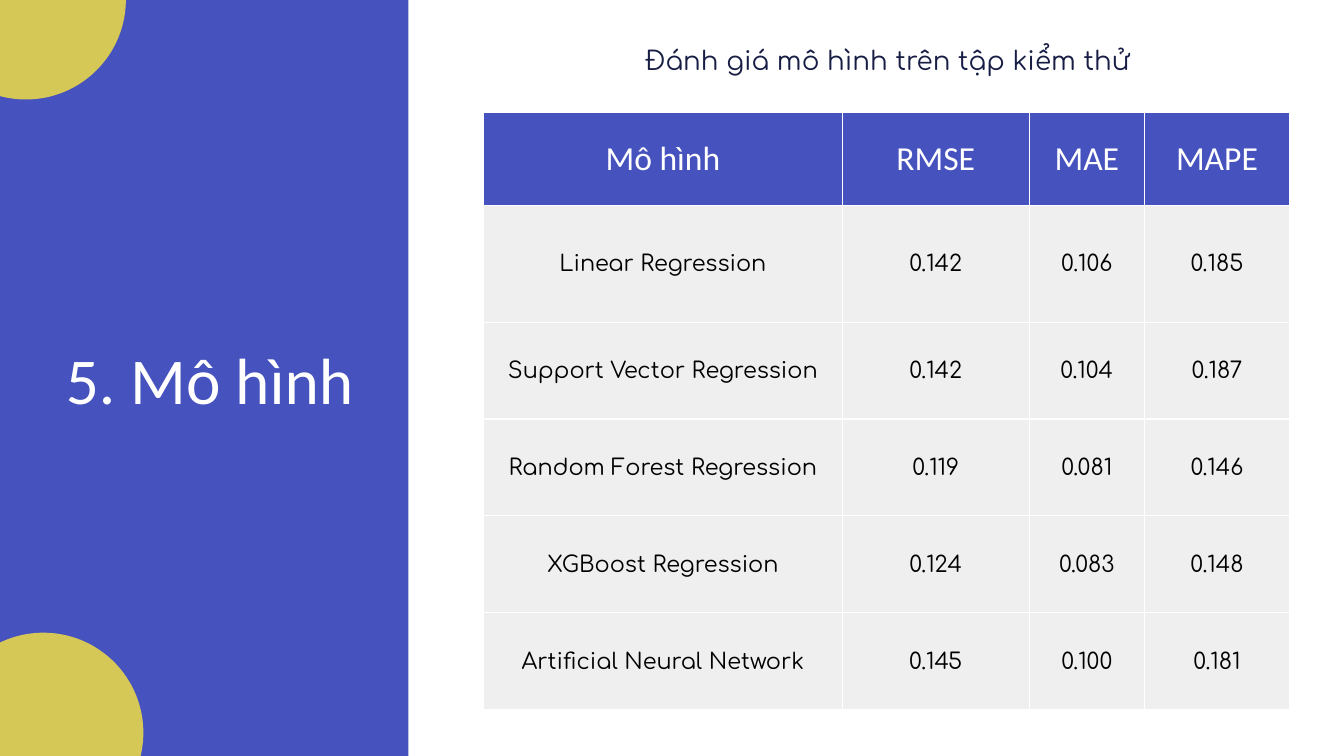
import pptx
import pptx.util
import pptx.dml.color
import pptx.enum.shapes
import pptx.enum.text
import pptx.oxml
import pptx.oxml.ns
from pptx.util import Cm

# Content
TITLE = "5. Mô hình"
CAPTION = "Đánh giá mô hình trên tập kiểm thử"
ROWS = [
    ("Mô hình", "RMSE", "MAE", "MAPE"),
    ("Linear Regression", "0.142", "0.106", "0.185"),
    ("Support Vector Regression", "0.142", "0.104", "0.187"),
    ("Random Forest Regression", "0.119", "0.081", "0.146"),
    ("XGBoost Regression", "0.124", "0.083", "0.148"),
    ("Artificial Neural Network", "0.145", "0.100", "0.181"),
]

# Style and measures in centimetres
COLORS = {"blue": "4652BE", "yellow": "D5C857", "gray": "EFEFEF",
          "navy": "171D44", "white": "FFFFFF", "black": "000000"}
COLUMN_WIDTHS = [6.78, 3.53, 2.18, 2.74]
ROW_HEIGHTS = [1.75, 2.21] + [1.83] * 4
SLIDE_WIDTH, SLIDE_HEIGHT = 25.4, 14.29
CIRCLE = 3.78


def color(name):
    return pptx.dml.color.RGBColor.from_string(COLORS[name])


def add_plain_shape(slide, kind, box, fill):
    shape = slide.shapes.add_shape(kind, *map(Cm, box))
    shape.shadow.inherit = False
    shape.fill.solid()
    shape.fill.fore_color.rgb = color(fill)
    shape.line.fill.background()


def write(text_frame, text, size, font, font_color):
    text_frame.text = text
    text_frame.word_wrap = True
    paragraph = text_frame.paragraphs[0]
    paragraph.alignment = pptx.enum.text.PP_ALIGN.CENTER
    run_font = paragraph.runs[0].font
    run_font.size = pptx.util.Pt(size)
    run_font.name = font
    run_font.bold = False
    run_font.color.rgb = color(font_color)
    return paragraph


def set_margins(target, horizontal, vertical):
    target.margin_left = target.margin_right = Cm(horizontal)
    target.margin_top = target.margin_bottom = Cm(vertical)
    target.vertical_anchor = pptx.enum.text.MSO_ANCHOR.MIDDLE


def add_borders(cell):
    properties = cell._tc.get_or_add_tcPr()
    for index, side in enumerate(("lnL", "lnR", "lnT", "lnB")):
        properties.insert(index, pptx.oxml.parse_xml(
            f'<a:{side} {pptx.oxml.ns.nsdecls("a")} w="{pptx.util.Pt(0.75)}">'
            f'<a:solidFill><a:srgbClr val="{COLORS["white"]}"/></a:solidFill>'
            f'</a:{side}>'))


def add_results_table(slide):
    table = slide.shapes.add_table(
        len(ROWS), len(COLUMN_WIDTHS), Cm(9.14), Cm(2.13),
        Cm(sum(COLUMN_WIDTHS)), Cm(sum(ROW_HEIGHTS))).table
    for column, width in zip(table.columns, COLUMN_WIDTHS):
        column.width = Cm(width)
    for row, height, values in zip(table.rows, ROW_HEIGHTS, ROWS):
        row.height = Cm(height)
        header = values is ROWS[0]
        for cell, value in zip(row.cells, values):
            cell.fill.solid()
            cell.fill.fore_color.rgb = color("blue" if header else "gray")
            add_borders(cell)
            if header:
                set_margins(cell, 0.25, 0.25)
                write(cell.text_frame, value, 18, "Calibri", "white")
            else:
                set_margins(cell, 0.18, 0)
                paragraph = write(cell.text_frame, value, 12, "Comfortaa", "black")
                paragraph.line_spacing = 1.07
                paragraph.space_before = paragraph.space_after = pptx.util.Pt(3)


def main():
    presentation = pptx.Presentation()
    presentation.slide_width = Cm(SLIDE_WIDTH)
    presentation.slide_height = Cm(SLIDE_HEIGHT)
    slide = presentation.slides.add_slide(presentation.slide_layouts[5])

    # Side panel with corner circles
    shapes = pptx.enum.shapes.MSO_SHAPE
    add_plain_shape(slide, shapes.RECTANGLE, (0, 0, 7.72, SLIDE_HEIGHT), "blue")
    for left, top in ((-1.07, 11.96), (-1.4, -1.9)):
        add_plain_shape(slide, shapes.OVAL, (left, top, CIRCLE, CIRCLE), "yellow")

    # Title, brought in front of the panel
    title = slide.shapes.title
    title.left, title.top, title.width, title.height = map(Cm, (0.64, 4.67, 6.65, 4.95))
    write(title.text_frame, TITLE, 35, "Calibri", "white")
    set_margins(title.text_frame, 0.25, 0.25)
    title.text_frame.auto_size = pptx.enum.text.MSO_AUTO_SIZE.NONE
    title.element.getparent().append(title.element)

    # Results table and its caption
    add_results_table(slide)
    caption = slide.shapes.add_textbox(*map(Cm, (9.58, 0.71, 14.4, 0.86)))
    write(caption.text_frame, CAPTION, 14, "Comfortaa", "navy")
    caption.text_frame.auto_size = pptx.enum.text.MSO_AUTO_SIZE.SHAPE_TO_FIT_TEXT

    presentation.save("out.pptx")


if __name__ == "__main__":
    main()
